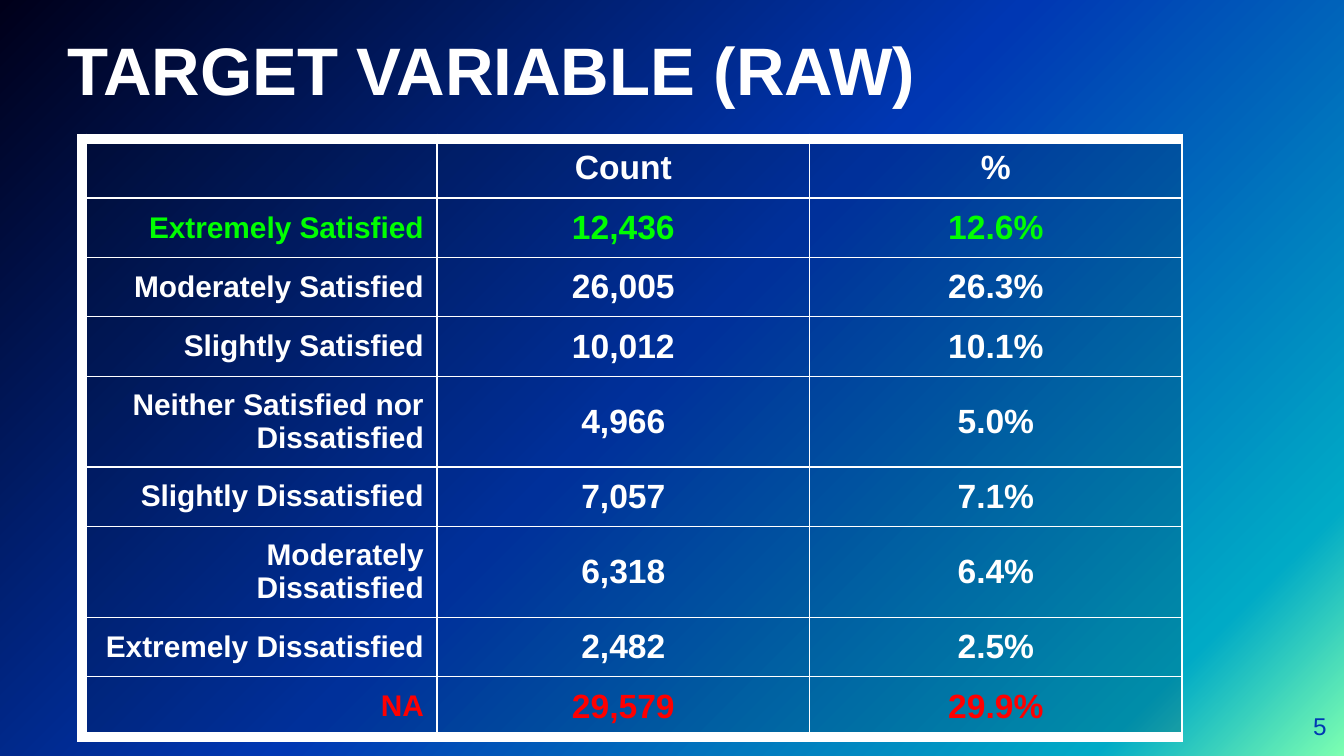
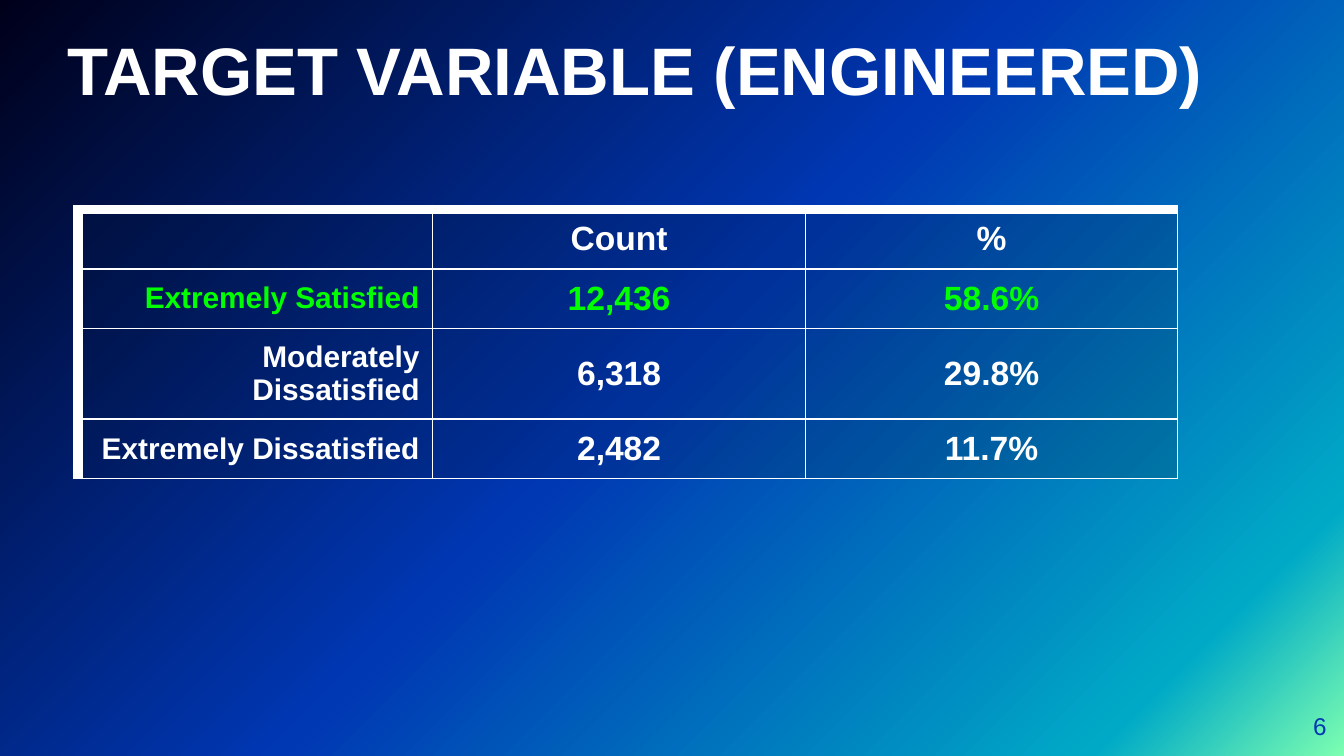
"""Build two slides that tabulate the raw and engineered target variable."""
from lxml import etree
from pptx import Presentation
from pptx.dml.color import RGBColor
from pptx.enum.text import MSO_ANCHOR, PP_ALIGN
from pptx.oxml.ns import qn
from pptx.util import Cm, Pt

MID, LOW = MSO_ANCHOR.MIDDLE, MSO_ANCHOR.BOTTOM
LEFT, RIGHT, MIDST = PP_ALIGN.LEFT, PP_ALIGN.RIGHT, PP_ALIGN.CENTER
FONT = "Arial"
WHITE, NAVY, BLUE = "FFFFFF", "001230", "0037B3"
GREEN, RED = "00FF00", "FF0000"
STOPS = [(0, "7DFFB1"), (12, "00AAC6"), (51, BLUE), (100, "00001A")]
THIN, THICK = 0.75, 6
WIDTHS = [6.71, 7.04, 7.04]
HEAD = ("", "Count", "%")


def paint(color, hue):
    color.rgb = RGBColor.from_string(hue)


def write(frame, text, size, hue, align, bold=True):
    frame.word_wrap = True
    para = frame.paragraphs[0]
    para.alignment = align
    run = para.add_run()
    run.text = text
    run.font.name, run.font.size, run.font.bold = FONT, Pt(size), bold
    paint(run.font.color, hue)


raw = [
    ("Extremely Satisfied", "12,436", "12.6%"),
    ("Moderately Satisfied", "26,005", "26.3%"),
    ("Slightly Satisfied", "10,012", "10.1%"),
    ("Neither Satisfied nor Dissatisfied", "4,966", "5.0%"),
    ("Slightly Dissatisfied", "7,057", "7.1%"),
    ("Moderately Dissatisfied", "6,318", "6.4%"),
    ("Extremely Dissatisfied", "2,482", "2.5%"),
    ("NA", "29,579", "29.9%"),
]
made = [
    ("Extremely Satisfied", "12,436", "58.6%"),
    ("Moderately Dissatisfied", "6,318", "29.8%"),
    ("Extremely Dissatisfied", "2,482", "11.7%"),
]
hues = {"Extremely Satisfied": GREEN, "NA": RED}
pages = [
    ("TARGET VARIABLE (RAW)", "5", raw, 1.55, 2.62, 1.14, THICK),
    ("TARGET VARIABLE (ENGINEERED)", "6", made, 1.47, 3.96, 0.99, THIN),
]

deck = Presentation()
deck.slide_width, deck.slide_height = Cm(25.4), Cm(14.29)

for title, number, data, left, top, last, base in pages:
    slide = deck.slides.add_slide(deck.slide_layouts[6])
    back = slide.background.fill
    back.gradient()
    back.gradient_angle = 135
    stops = slide.element.find(".//" + qn("a:gsLst"))
    stops.clear()
    for spot, hue in STOPS:
        stop = etree.SubElement(stops, qn("a:gs"), pos=str(spot * 1000))
        etree.SubElement(stop, qn("a:srgbClr"), val=hue)

    labels = [
        (title, (1.27, -0.33, 21.62, 2.39), 36, WHITE, LEFT, True, LOW),
        (number, (23.55, 13.18, 1.52, 1.09), 13, BLUE, RIGHT, False, MID),
    ]
    for text, box, size, hue, align, bold, anchor in labels:
        frame = slide.shapes.add_textbox(*map(Cm, box)).text_frame
        frame.margin_left = frame.margin_right = 0
        frame.margin_top = frame.margin_bottom = 0
        frame.vertical_anchor = anchor
        write(frame, text, size, hue, align, bold)

    rows = [HEAD] + data
    highs = [0.99] * len(data) + [last]
    table = slide.shapes.add_table(
        len(rows), len(WIDTHS), Cm(left), Cm(top), Cm(sum(WIDTHS)), Cm(sum(highs))
    ).table
    table.first_row = table.horz_banding = False
    for col, width in zip(table.columns, WIDTHS):
        col.width = Cm(width)
    for r, (row, high) in enumerate(zip(rows, highs)):
        table.rows[r].height = Cm(high)
        for c, text in enumerate(row):
            cell = table.cell(r, c)
            cell.margin_left = cell.margin_right = Cm(0.25)
            cell.margin_top = cell.margin_bottom = Cm(0.18)
            cell.vertical_anchor = MID
            if text:
                size, align = (18, MIDST) if c else (16, RIGHT)
                write(cell.text_frame, text, size, hues.get(row[0], WHITE), align)
            props = cell._tc.get_or_add_tcPr()
            edges = {
                "a:lnL": THIN if c else THICK,
                "a:lnR": THIN,
                "a:lnT": THIN if r else THICK,
                "a:lnB": base if r == len(data) else THIN,
            }
            for tag, weight in edges.items():
                line = etree.SubElement(props, qn(tag), w=str(Pt(weight)))
                fill = etree.SubElement(line, qn("a:solidFill"))
                etree.SubElement(fill, qn("a:srgbClr"), val=WHITE)
            cell.fill.solid()
            paint(cell.fill.fore_color, NAVY)
            shade = props.find(qn("a:solidFill")).find(qn("a:srgbClr"))
            etree.SubElement(shade, qn("a:alpha"), val="19000")

deck.save("out.pptx")
